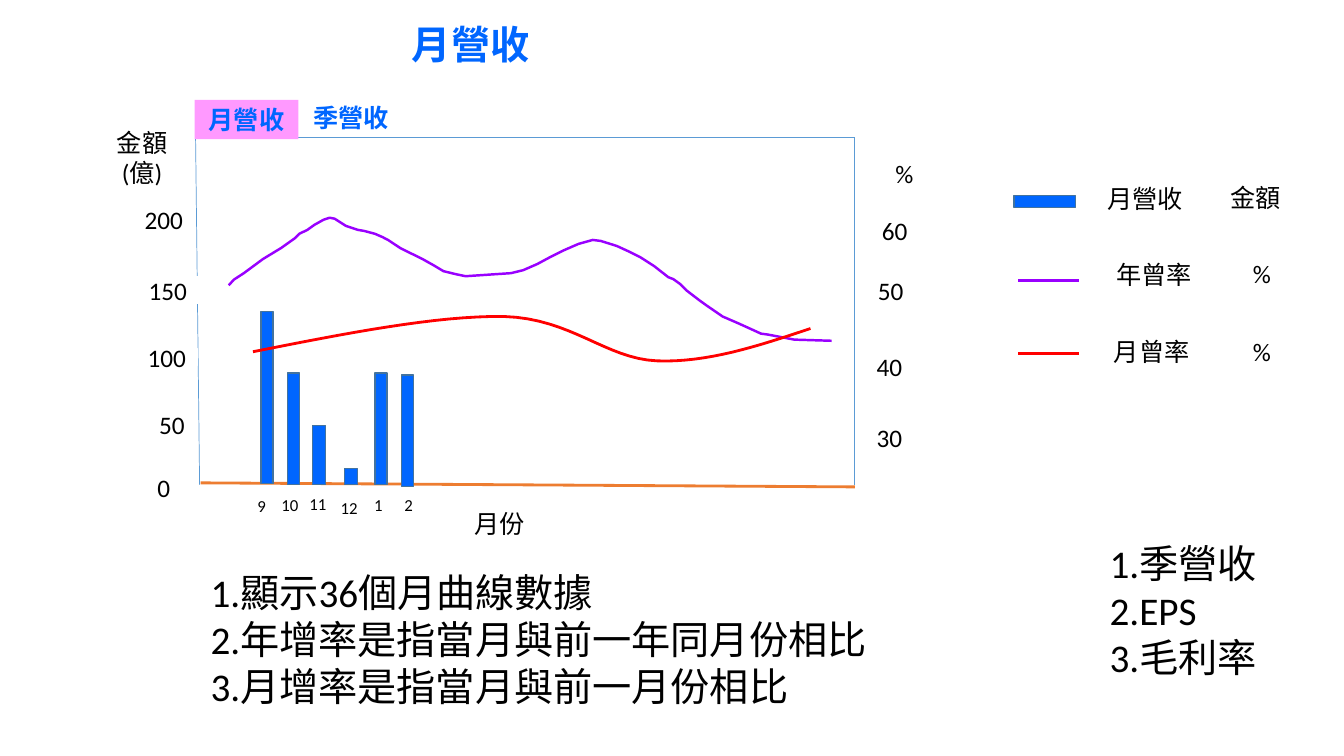
from dataclasses import dataclass
from itertools import chain

from pptx import Presentation
from pptx.dml.color import RGBColor
from pptx.enum import shapes, text as tx
from pptx.oxml import xmlchemy
from pptx.util import Pt
from lxml import etree

BLUE = RGBColor(0x00, 0x66, 0xFF)
BAR_EDGE = RGBColor(0x43, 0x73, 0x9E)
FRAME = RGBColor(0x5B, 0x9B, 0xD5)
ORANGE = RGBColor(0xED, 0x7D, 0x31)
PURPLE = RGBColor(0x99, 0x00, 0xFF)
RED = RGBColor(0xFF, 0x00, 0x00)
PINK = RGBColor(0xFF, 0x99, 0xFF)
WHITE = RGBColor(0xFF, 0xFF, 0xFF)
BLACK = RGBColor(0x00, 0x00, 0x00)
DRAWING_NS = "http://schemas.openxmlformats.org/drawingml/2006/main"

Point = tuple[float, float]


@dataclass(frozen=True)
class Box:
    left: float
    top: float
    width: float
    height: float


@dataclass(frozen=True)
class Month:
    name: str
    bar: Box
    label: Box


@dataclass(frozen=True)
class Label:
    text: str
    box: Box


@dataclass(frozen=True)
class Rule:
    start: Point
    end: Point
    color: RGBColor
    weight: float


RULES = [
    Rule((143.3, 344.9), (610.6, 347.8), ORANGE, 2),
    Rule((139.7, 97.9), (142.6, 346.3), FRAME, 0.5),
    Rule((610.6, 346.3), (610.6, 97.9), FRAME, 0.5),
    Rule((141.1, 97.9), (610.6, 97.9), FRAME, 0.5),
    Rule((727.2, 200.2), (770.4, 200.2), PURPLE, 2),
    Rule((727.2, 252.7), (770.4, 252.7), RED, 2),
]
MONTHS = [
    Month("9", Box(186.5, 222.5, 8.6, 123.1), Box(176.4, 350.6, 20.9, 20.9)),
    Month("10", Box(205.2, 266.4, 8.6, 79.9), Box(193, 350, 28, 20.9)),
    Month("11", Box(223.2, 303.8, 9.4, 42.5), Box(213.1, 349.2, 28, 20.9)),
    Month("12", Box(246.2, 334.8, 9.4, 11.5), Box(235.4, 352.1, 28, 20.9)),
    Month("1", Box(267.8, 266.4, 8.6, 79.9), Box(256.3, 350, 28, 20.9)),
    Month("2", Box(286.6, 267.8, 8.6, 79.9), Box(277.9, 350, 28, 20.9)),
]
AXIS_LABELS = [
    Label("金額(億)", Box(73.4, 101.5, 56.2, 22.3)),
    Label("200", Box(95, 147.6, 43.9, 18.7)),
    Label("150", Box(97.9, 198, 43.9, 18.7)),
    Label("100", Box(97.2, 249.1, 43.9, 12.2)),
    Label("50", Box(105.1, 294.5, 35.3, 17.3)),
    Label("0", Box(103, 339.8, 28, 17.3)),
    Label("%", Box(617.8, 113, 56.2, 22.3)),
    Label("60", Box(617, 155.5, 43.9, 18.7)),
    Label("50", Box(614.2, 198, 43.9, 18.7)),
    Label("40", Box(613.4, 252.7, 43.9, 18.7)),
    Label("30", Box(613.4, 303.1, 43.9, 18.7)),
    Label("月份", Box(327.6, 364.3, 59, 19.4)),
]
LEGEND_LABELS = [
    Label("月營收", Box(770.4, 130.3, 95, 23)),
    Label("金額", Box(871.2, 128.2, 51.8, 25.2)),
    Label("年曾率", Box(776.9, 186.5, 95, 18.7)),
    Label("%", Box(871.9, 185.8, 59, 19.4)),
    Label("月曾率", Box(785.5, 241.2, 74.2, 19.4)),
    Label("%", Box(871.9, 241.2, 59, 19.4)),
]
LEGEND_SWATCH = Box(724.3, 139.7, 43.9, 8.6)
NOTES = [
    Label("1.顯示36個月曲線數據\n2.年增率是指當月與前一年同月份相比\n3.月增率是指當月與前一月份相比",
          Box(143.3, 402.5, 514, 108.7)),
    Label("1.季營收\n2.EPS\n3.毛利率", Box(785.5, 381.6, 134, 108.7)),
]
YEARLY_GROWTH = [
    (163.4, 203.8), (167, 199.8), (174.2, 195.1), (187.9, 185), (200.9, 177.1),
    (211, 169.9), (213.8, 167), (219.6, 164.2), (224.6, 160.6), (231.1, 157),
    (235.4, 155.5), (239, 156.2), (247, 161.3), (255.6, 164.2), (259.9, 164.9),
    (267.8, 167), (272.9, 169.2), (277.2, 171.4), (285.8, 177.1), (291.6, 180),
    (301.7, 185), (309.6, 189.4), (316.8, 193.7), (325.4, 195.8), (332.6, 197.3),
    (365, 195.1), (373.7, 193), (383.8, 188.6), (393.1, 183.6), (403.2, 178.6),
    (413.3, 174.2), (423.4, 171.4), (429.1, 172.1), (440.6, 175.7), (450, 180),
    (457.2, 183.6), (467.3, 190.1), (477.4, 198), (481, 199.4), (486, 203),
    (490.3, 207.4), (499.7, 214.6), (504.7, 218.2), (516.2, 226.1), (527.8, 231.1),
    (543.6, 238.3), (548.6, 239), (567.4, 242.6), (594, 243.4),
]
MONTHLY_GROWTH = [
    (180.7, 251.3), (246.2, 238.3), (311.8, 225.4), (360, 226.1), (408.2, 227.5),
    (432.7, 256.3), (469.4, 257.8), (505.4, 259.2), (542.2, 247), (578.9, 234.7),
]


def place(box: Box) -> list[int]:
    return [Pt(side) for side in (box.left, box.top, box.width, box.height)]


def write(shape, content: str, *, size: float = 18, color: RGBColor = BLACK,
          bold: bool = False, align=tx.PP_ALIGN.CENTER, anchor=tx.MSO_ANCHOR.MIDDLE,
          fit=tx.MSO_AUTO_SIZE.NONE) -> None:
    frame = shape.text_frame
    frame.word_wrap, frame.auto_size, frame.vertical_anchor = True, fit, anchor
    frame.text = content
    for paragraph in frame.paragraphs:
        paragraph.alignment, paragraph.line_spacing = align, 1.0
        for run in paragraph.runs:
            run.font.name, run.font.size = "Calibri", Pt(size)
            run.font.bold, run.font.color.rgb = bold, color


def draw_box(slide, box: Box, fill: RGBColor, edge: RGBColor | None = None):
    panel = slide.shapes.add_shape(shapes.MSO_SHAPE.RECTANGLE, *place(box))
    panel.shadow.inherit = False
    panel.fill.solid()
    panel.fill.fore_color.rgb = fill
    if edge is None:
        panel.line.fill.background()
    else:
        panel.line.color.rgb, panel.line.width = edge, Pt(1)
    return panel


def draw_rule(slide, rule: Rule) -> None:
    ends = [Pt(value) for value in (*rule.start, *rule.end)]
    line = slide.shapes.add_connector(shapes.MSO_CONNECTOR.STRAIGHT, *ends)
    line.line.color.rgb, line.line.width = rule.color, Pt(rule.weight)
    etree.SubElement(line._element.spPr, f"{{{DRAWING_NS}}}effectLst")


def smooth_points(controls: list[Point], steps: int = 16) -> list[Point]:
    def at(span: list[Point], t: float) -> Point:
        weights = ((1 - t) ** 3, 3 * t * (1 - t) ** 2, 3 * t * t * (1 - t), t ** 3)
        return tuple(sum(w * p[axis] for w, p in zip(weights, span)) for axis in (0, 1))

    spans = (controls[i:i + 4] for i in range(0, len(controls) - 1, 3))
    return [controls[0], *chain.from_iterable(
        (at(span, step / steps) for step in range(1, steps + 1)) for span in spans)]


def draw_curve(slide, points: list[Point], color: RGBColor, weight: float) -> None:
    first, *rest = [(Pt(x), Pt(y)) for x, y in points]
    builder = slide.shapes.build_freeform(*first)
    builder.add_line_segments(rest, close=False)
    curve = builder.convert_to_shape()
    curve.shadow.inherit = False
    curve.fill.background()
    curve.line.color.rgb, curve.line.width = color, Pt(weight)


def main() -> None:
    deck = Presentation()
    deck.slide_width, deck.slide_height = Pt(960), Pt(540)
    slide = deck.slides.add_slide(deck.slide_layouts[5])

    title = slide.shapes.title
    title.left, title.top, title.width, title.height = place(Box(118, 9.4, 436.3, 43.2))
    write(title, "月營收", size=28, color=BLUE, bold=True)

    for rule in RULES:
        draw_rule(slide, rule)
    for bar in [*(month.bar for month in MONTHS), LEGEND_SWATCH]:
        draw_box(slide, bar, BLUE, BAR_EDGE)
    draw_curve(slide, YEARLY_GROWTH, PURPLE, 1.75)
    for label in AXIS_LABELS + LEGEND_LABELS:
        write(draw_box(slide, label.box, WHITE, WHITE), label.text)
    for month in MONTHS:
        write(draw_box(slide, month.label, WHITE, WHITE), month.name, size=12)
    draw_curve(slide, smooth_points(MONTHLY_GROWTH), RED, 2)
    for note in NOTES:
        write(slide.shapes.add_textbox(*place(note.box)), note.text, size=28,
              align=tx.PP_ALIGN.LEFT, anchor=tx.MSO_ANCHOR.TOP,
              fit=tx.MSO_AUTO_SIZE.SHAPE_TO_FIT_TEXT)
    for tab, box, fill in (("月營收", Box(139, 71.3, 74.2, 28.1), PINK),
                           ("季營收", Box(213.8, 69.8, 74.2, 28.1), WHITE)):
        write(draw_box(slide, box, fill), tab, color=BLUE, bold=True)

    deck.save("out.pptx")


if __name__ == "__main__":
    main()
